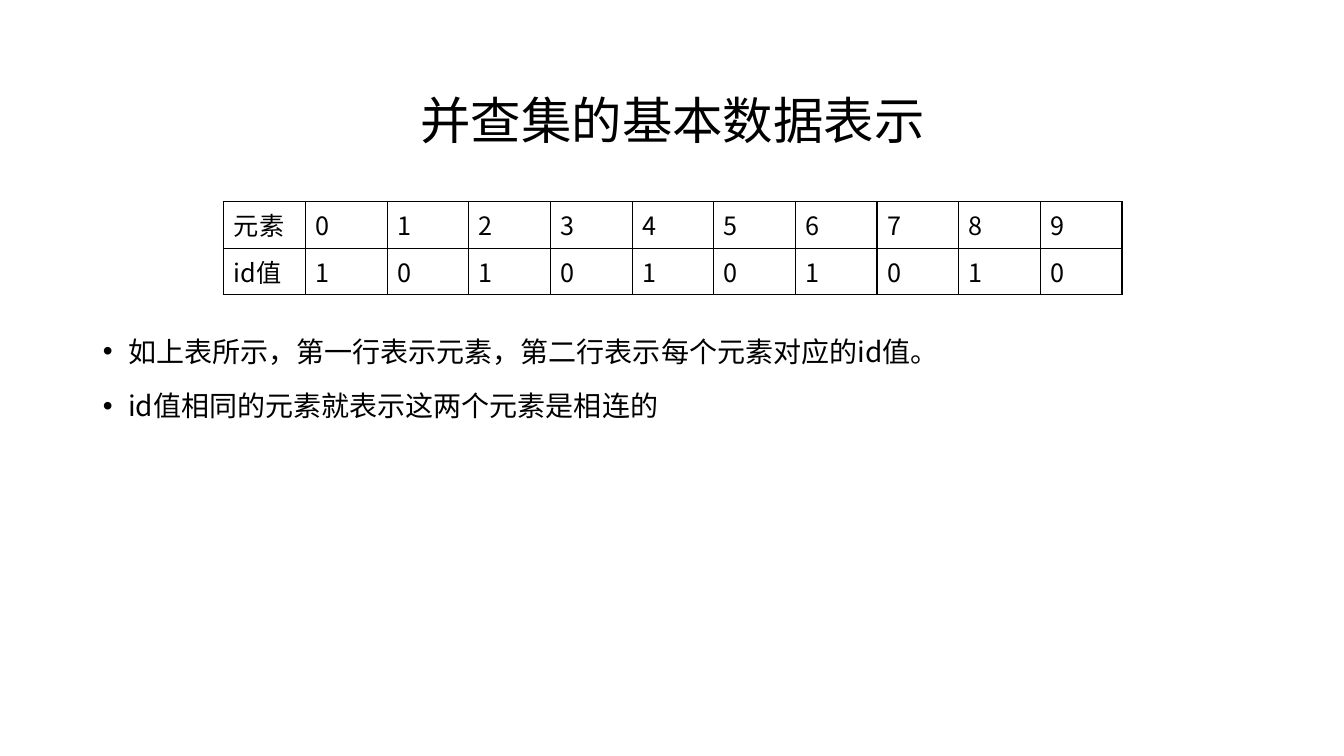
from dataclasses import dataclass

from lxml.etree import SubElement
from pptx import Presentation
from pptx.dml.color import RGBColor
from pptx.enum.text import MSO_ANCHOR, MSO_AUTO_SIZE, PP_ALIGN
from pptx.oxml.ns import qn
from pptx.util import Inches, Pt


@dataclass(frozen=True)
class Theme:
    font: str = "Noto Sans CJK SC"
    ink: RGBColor = RGBColor(0, 0, 0)
    title_size: int = 36
    body_size: int = 20
    table_size: int = 18
    border: float = 1


class SlideBuilder:
    def __init__(self, deck, theme):
        self.theme = theme
        self.slide = deck.slides.add_slide(deck.slide_layouts[1])

    def style(self, paragraph, size):
        for run in paragraph.runs:
            run.font.name = self.theme.font
            run.font.size = Pt(size)
            run.font.color.rgb = self.theme.ink
            east_asian = SubElement(run.font._element, qn("a:ea"))
            east_asian.set("typeface", self.theme.font)

    def place(self, placeholder, left, top, width, height):
        placeholder.left, placeholder.top = Inches(left), Inches(top)
        placeholder.width, placeholder.height = Inches(width), Inches(height)
        placeholder.text_frame.auto_size = MSO_AUTO_SIZE.NONE
        return placeholder.text_frame

    def title(self, text, *box):
        frame = self.place(self.slide.shapes.title, *box)
        frame.text = text
        frame.vertical_anchor = MSO_ANCHOR.MIDDLE
        heading = frame.paragraphs[0]
        heading.alignment = PP_ALIGN.CENTER
        heading.line_spacing = 1.2
        self.style(heading, self.theme.title_size)

    def bullets(self, items, *box):
        frame = self.place(self.slide.placeholders[1], *box)
        frame.text = "\n".join(items)
        for item in frame.paragraphs:
            item.line_spacing = 1.2
            item.space_before = Pt(10)
            properties = item._p.get_or_add_pPr()
            properties.set("marL", str(Inches(0.25)))
            properties.set("indent", str(Inches(-0.25)))
            SubElement(properties, qn("a:buChar")).set("char", "•")
            self.style(item, self.theme.body_size)

    def border(self, cell):
        properties = cell._tc.get_or_add_tcPr()
        for position, side in enumerate(("a:lnL", "a:lnR", "a:lnT", "a:lnB")):
            line = SubElement(properties, qn(side))
            line.set("w", str(Pt(self.theme.border)))
            fill = SubElement(line, qn("a:solidFill"))
            SubElement(fill, qn("a:srgbClr")).set("val", str(self.theme.ink))
            properties.insert(position, line)

    def table(self, rows, left, top, column_width, row_height):
        columns = len(rows[0])
        grid = self.slide.shapes.add_table(
            len(rows), columns, Inches(left), Inches(top),
            Inches(column_width * columns), Inches(row_height * len(rows))).table
        grid.first_row = grid.horz_banding = False
        for row, values in enumerate(rows):
            for column, value in enumerate(values):
                cell = grid.cell(row, column)
                cell.text = str(value)
                cell.fill.background()
                self.border(cell)
                self.style(cell.text_frame.paragraphs[0], self.theme.table_size)


def main():
    deck = Presentation()
    deck.slide_width, deck.slide_height = Inches(13.33), Inches(7.5)
    builder = SlideBuilder(deck, Theme())
    builder.title("并查集的基本数据表示", 0.92, 0.4, 11.5, 1.45)
    builder.bullets([
        "如上表所示，第一行表示元素，第二行表示每个元素对应的id值。",
        "id值相同的元素就表示这两个元素是相连的",
    ], 0.92, 3.2, 11.5, 3.9)
    elements = range(10)
    builder.table([
        ["元素", *elements],
        ["id值", *((element + 1) % 2 for element in elements)],
    ], 2.22, 2, 0.81, 0.41)
    deck.save("out.pptx")


if __name__ == "__main__":
    main()
